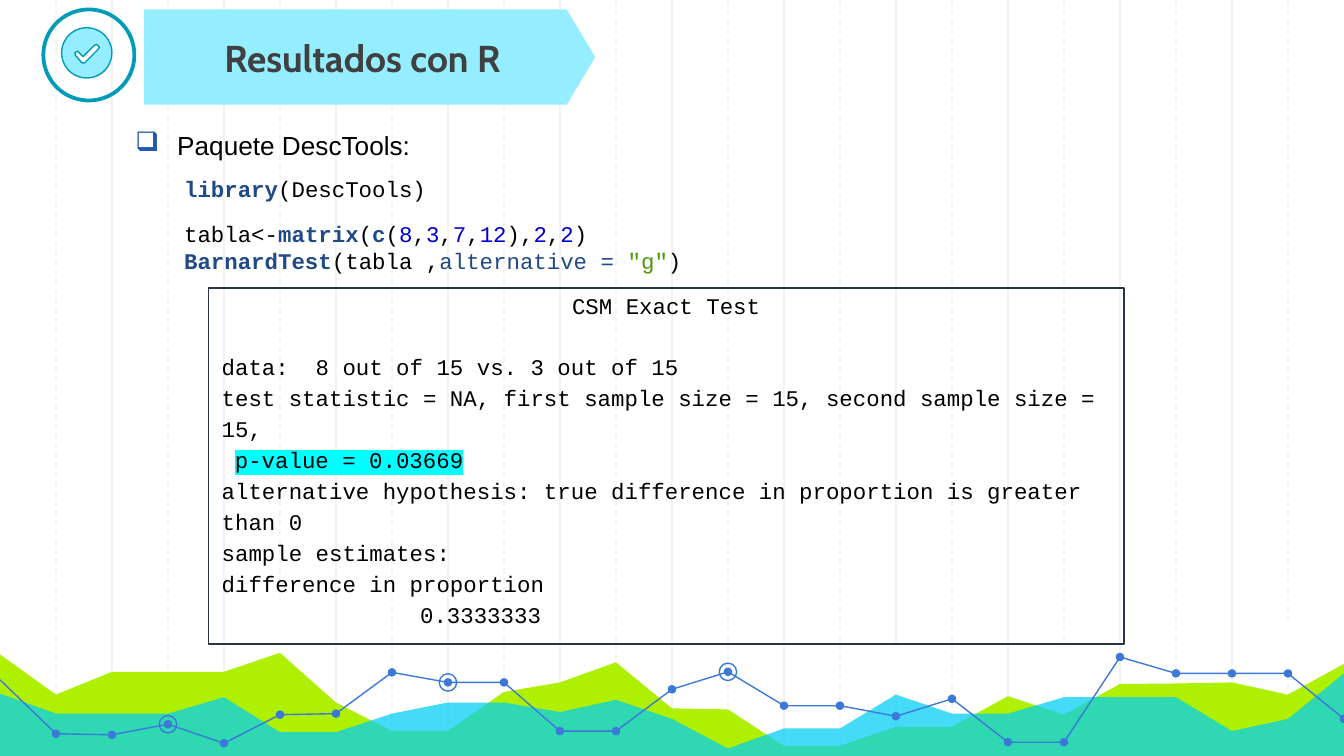
import pptx
import pptx.util
import pptx.dml.color
import pptx.enum.dml
import pptx.enum.shapes
import pptx.enum.text
import pptx.oxml
import pptx.oxml.ns
from lxml import etree

Cm, Pt = pptx.util.Cm, pptx.util.Pt
RGBColor = pptx.dml.color.RGBColor
SHAPE = pptx.enum.shapes.MSO_SHAPE
ANCHOR = pptx.enum.text.MSO_ANCHOR
ALIGN = pptx.enum.text.PP_ALIGN
qn = pptx.oxml.ns.qn

BLACK = RGBColor(0, 0, 0)
WHITE = RGBColor(0xFF, 0xFF, 0xFF)
GRAY = RGBColor(0xF3, 0xF3, 0xF3)
DARK_GRAY = RGBColor(0x40, 0x40, 0x40)
GREEN = RGBColor(0xAF, 0xF0, 0x00)
CYAN = RGBColor(0x00, 0xCE, 0xF6)
PALE_CYAN = RGBColor(0x95, 0xEE, 0xFF)
TEAL = RGBColor(0x00, 0x9B, 0xB8)
BLUE = RGBColor(0x3C, 0x78, 0xD8)
NAVY = RGBColor(0x28, 0x32, 0x4A)
KEYWORD = RGBColor(0x20, 0x4A, 0x87)
NUMBER = RGBColor(0x00, 0x00, 0xCF)
STRING = RGBColor(0x4E, 0x9A, 0x06)

WIDTH, HEIGHT, COLUMNS = 25.4, 14.29, 24
COLUMN = WIDTH / COLUMNS

TITLE = "Resultados con R"
HEADING = "Paquete DescTools:"
CODE = [
    [[("library", KEYWORD, True), ("(DescTools)", BLACK, False)]],
    [
        [("tabla<-", BLACK, False), ("matrix", KEYWORD, True), ("(", BLACK, False),
         ("c", KEYWORD, True), ("(", BLACK, False), ("8", NUMBER, False),
         (",", BLACK, False), ("3", NUMBER, False), (",", BLACK, False),
         ("7", NUMBER, False), (",", BLACK, False), ("12", NUMBER, False),
         ("),", BLACK, False), ("2", NUMBER, False), (",", BLACK, False),
         ("2", NUMBER, False), (")", BLACK, False)],
        [("BarnardTest", KEYWORD, True), ("(tabla ,", BLACK, False),
         ("alternative = ", KEYWORD, False), ('"g"', STRING, False), (")", BLACK, False)],
    ],
]
OUTPUT_TITLE = "CSM Exact Test"
P_VALUE = "p-value = 0.03669"
ESTIMATE = "0.3333333"
OUTPUT = [
    OUTPUT_TITLE,
    "data:  8 out of 15 vs. 3 out of 15",
    "test statistic = NA, first sample size = 15, second sample size = 15,",
    P_VALUE,
    "alternative hypothesis: true difference in proportion is greater than 0",
    "sample estimates:",
    "difference in proportion",
    ESTIMATE,
]
CHARACTER = 0.25
INDENTS = {P_VALUE: CHARACTER, ESTIMATE: 15 * CHARACTER}

GREEN_HEIGHTS = [12.37, 13.13, 12.7, 12.7, 12.7, 12.34, 13.28, 13.82, 13.82, 13.08, 12.9, 12.52, 13.39,
                 13.41, 14.1, 14.1, 13.74, 13.74, 13.16, 13.51, 12.93, 12.92, 12.9, 13.13, 12.55]
CYAN_HEIGHTS = [13.11, 13.49, 13.49, 13.49, 13.18, 13.84, 13.84, 13.49, 13.28, 13.28, 13.46, 13.23, 13.59,
                14.15, 13.77, 13.77, 13.13, 13.49, 13.49, 13.18, 13.18, 13.18, 13.82, 13.59, 12.73]
LINE_HEIGHTS = [12.85, 13.87, 13.89, 13.69, 14.05, 13.51, 13.49, 12.71, 12.9, 12.9, 13.82, 13.82, 13.03,
                12.7, 13.34, 13.34, 13.54, 13.21, 14.03, 14.03, 12.42, 12.73, 12.73, 12.73, 13.59]
LINE_SPANS = [(0, 11), (11, 20), (20, 24)]
RINGED = [3, 8, 13]
GRID_GAPS = [(4.9, 11.35), (16.61, 12.17), (19.81, 12.17), (23.98, 11.71)]
CHECK = [(1.83, 0.84), (1.88, 0.89), (1.85, 0.94), (1.6, 1.19), (1.55, 1.19),
         (1.42, 1.04), (1.42, 0.99), (1.47, 0.97), (1.57, 1.07), (1.78, 0.86)]

presentation = pptx.Presentation()
presentation.slide_width, presentation.slide_height = Cm(WIDTH), Cm(HEIGHT)
slide = presentation.slides.add_slide(presentation.slide_layouts[5])
shapes = slide.shapes


def paint(shape, fill=None, line=None, line_width=0.75):
    shape.shadow.inherit = False
    if fill is None:
        shape.fill.background()
    else:
        shape.fill.solid()
        shape.fill.fore_color.rgb = fill
    if line is None:
        shape.line.fill.background()
    else:
        shape.line.color.rgb = line
        shape.line.width = Pt(line_width)
    return shape


def add_shape(kind, left, top, width, height, **style):
    return paint(shapes.add_shape(kind, Cm(left), Cm(top), Cm(width), Cm(height)), **style)


def add_circle(x, y, diameter, **style):
    return add_shape(SHAPE.OVAL, x - diameter / 2, y - diameter / 2, diameter, diameter, **style)


def add_outline(points, closed, **style):
    points = [(Cm(x), Cm(y)) for x, y in points]
    builder = shapes.build_freeform(*points[0])
    builder.add_line_segments(points[1:], close=closed)
    return paint(builder.convert_to_shape(), **style)


def add_text_box(left, top, width, height):
    frame = shapes.add_textbox(Cm(left), Cm(top), Cm(width), Cm(height)).text_frame
    frame.word_wrap = True
    return frame


def set_font(font, name, size, colour=BLACK):
    font.name, font.size = name, Pt(size)
    font.color.rgb = colour


def set_indent(paragraph, left, first=0):
    properties = paragraph._p.get_or_add_pPr()
    properties.set("marL", str(Cm(left)))
    properties.set("indent", str(Cm(first)))
    return properties


def next_paragraph(frame, index):
    return frame.add_paragraph() if index else frame.paragraphs[0]


for column in range(1, COLUMNS):
    x = Cm(column * COLUMN)
    grid_line = shapes.add_connector(pptx.enum.shapes.MSO_CONNECTOR.STRAIGHT, x, 0, x, Cm(HEIGHT))
    grid_line.line.color.rgb = GRAY
    grid_line.line.width = Pt(0.75)
    if column % 2:
        grid_line.line.dash_style = pptx.enum.dml.MSO_LINE.DASH
    etree.SubElement(grid_line._element.spPr, qn("a:effectLst"))

for heights, colour in [(GREEN_HEIGHTS, GREEN), (CYAN_HEIGHTS, CYAN)]:
    crest = [(column * COLUMN, y) for column, y in enumerate(heights)]
    area = add_outline(crest + [(WIDTH, HEIGHT), (0, HEIGHT)], True, fill=colour)
alpha = etree.SubElement(area._element.spPr.find(".//" + qn("a:srgbClr")), qn("a:alpha"))
alpha.set("val", "73000")

nodes = [(column * COLUMN, y) for column, y in enumerate(LINE_HEIGHTS)]
for first, last in LINE_SPANS:
    add_outline(nodes[first:last + 1], False, line=BLUE)
for node in nodes[1:]:
    add_circle(*node, 0.16, fill=BLUE)
for column in RINGED:
    add_circle(*nodes[column], 0.33, line=BLUE)
for left, top in GRID_GAPS:
    add_shape(SHAPE.RECTANGLE, left, top, 0.71, 0.94, fill=WHITE)

banner = add_shape(SHAPE.PENTAGON, 2.72, 0.18, 8.53, 1.8, fill=PALE_CYAN)
banner.adjustments[0] = 0.3
title = shapes.title
shapes._spTree.append(title._element)
title.left, title.top, title.width, title.height = Cm(2.72), Cm(0.18), Cm(8.26), Cm(1.8)
title.text_frame.text = TITLE
title.text_frame.vertical_anchor = ANCHOR.MIDDLE
title_paragraph = title.text_frame.paragraphs[0]
title_paragraph.alignment = ALIGN.CENTER
set_font(title_paragraph.font, "Cabin", 20, DARK_GRAY)
title_paragraph.font.bold = True

add_circle(1.68, 1.04, 1.72, line=TEAL, line_width=2)
add_circle(1.64, 1.0, 0.95, fill=PALE_CYAN, line=TEAL)
add_outline(CHECK, True, fill=WHITE, line=TEAL)

output_box = add_shape(SHAPE.RECTANGLE, 3.94, 5.44, 17.3, 6.73, line=NAVY, line_width=1)
output_frame = output_box.text_frame
output_frame.word_wrap = True
output_frame.vertical_anchor = ANCHOR.TOP
output_frame.margin_top = 0
for index, text in enumerate(OUTPUT):
    paragraph = next_paragraph(output_frame, index)
    run = paragraph.add_run()
    run.text = text
    paragraph.alignment = ALIGN.CENTER if text == OUTPUT_TITLE else ALIGN.LEFT
    paragraph.line_spacing = 1.15
    paragraph.space_after = Pt(16.5 if text == OUTPUT_TITLE else 0)
    set_font(paragraph.font, "Courier New", 12)
    set_indent(paragraph, INDENTS.get(text, 0))
    if text == P_VALUE:
        highlight = etree.SubElement(run._r.get_or_add_rPr(), qn("a:highlight"))
        etree.SubElement(highlight, qn("a:srgbClr")).set("val", "00FFFF")

code_frame = add_text_box(2.72, 3.18, 18.06, 2.16)
for index, lines in enumerate(CODE):
    paragraph = next_paragraph(code_frame, index)
    paragraph.space_after = Pt(10)
    set_indent(paragraph, 0.51)
    set_font(paragraph.font, "Courier New", 12)
    for number, line in enumerate(lines):
        if number:
            paragraph.add_line_break()
        for text, colour, bold in line:
            run = paragraph.add_run()
            run.text = text
            run.font.color.rgb = colour
            run.font.bold = bold

heading = add_text_box(2.31, 2.33, 5.94, 0.84).paragraphs[0]
heading.text = HEADING
properties = set_indent(heading, 0.79, -0.79)
bullet_colour = etree.SubElement(properties, qn("a:buClr"))
etree.SubElement(bullet_colour, qn("a:srgbClr")).set("val", "2258AD")
etree.SubElement(properties, qn("a:buSzPct")).set("val", "103000")
etree.SubElement(properties, qn("a:buChar")).set("char", "❑")
set_font(heading.font, "Arial", 14)

presentation.save("out.pptx")
